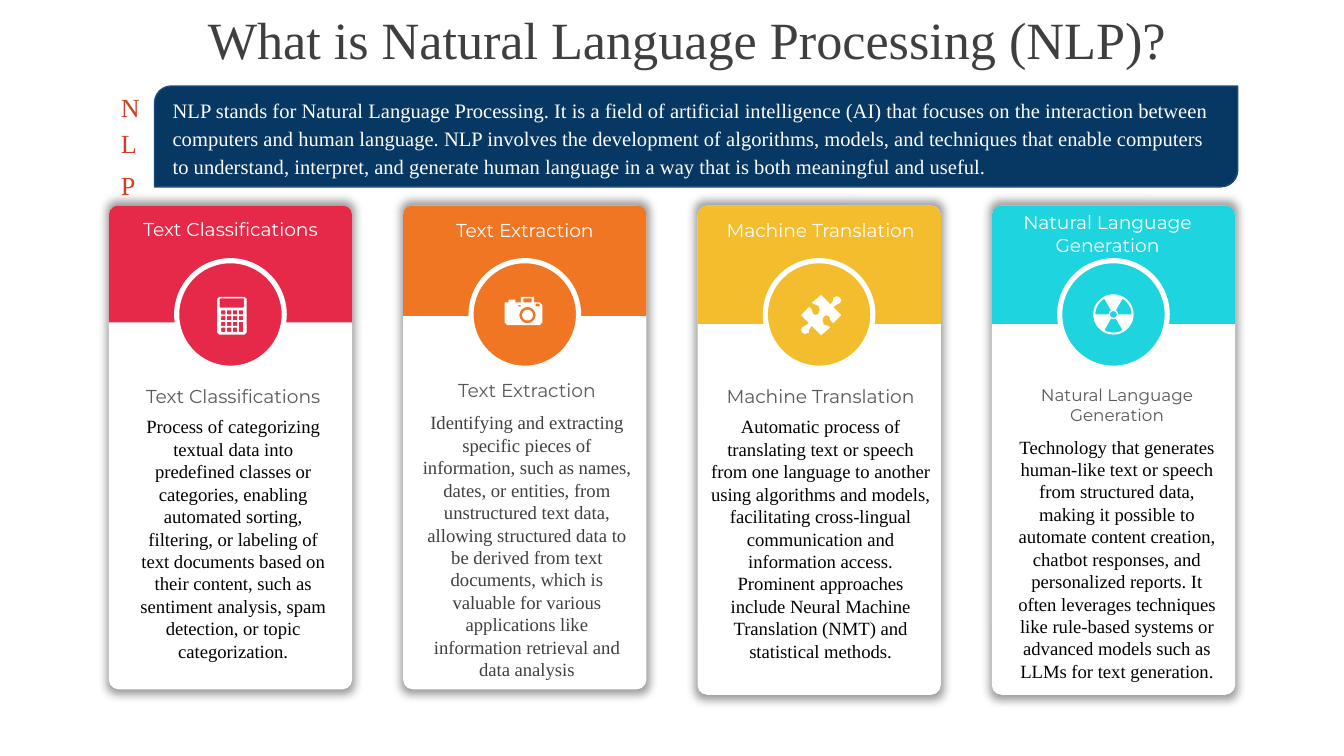
from dataclasses import dataclass
from math import cos, radians, sin

from lxml.etree import SubElement
from pptx import Presentation
from pptx.dml.color import RGBColor
from pptx.enum.shapes import MSO_SHAPE
from pptx.enum.text import MSO_ANCHOR, PP_ALIGN
from pptx.oxml import parse_xml
from pptx.oxml.ns import nsdecls, qn
from pptx.util import Inches, Pt


@dataclass(frozen=True)
class Theme:
    serif: str = "Times New Roman"
    sans: str = "Montserrat"
    white: str = "FFFFFF"
    black: str = "000000"
    dark: str = "3F3F3F"
    grey: str = "595959"
    navy: str = "073763"
    navy_line: str = "1F497D"
    letter: str = "CC4125"
    letter_line: str = "5B0F00"
    title_size: float = 28
    letter_size: float = 14
    banner_size: float = 11
    text_size: float = 10
    small_size: float = 9


theme = Theme()
presentation = Presentation()
presentation.slide_width = Inches(10)
presentation.slide_height = presentation.slide_width * 9 // 16
slide = presentation.slides.add_slide(presentation.slide_layouts[6])


def write_text(shape, text, size, color, font=theme.serif, margins=(0.07, 0.04, 0.07, 0.04),
               align=PP_ALIGN.CENTER, anchor=MSO_ANCHOR.TOP, spacing=1.0, wrap=True):
    frame = shape.text_frame
    frame.word_wrap = wrap
    frame.vertical_anchor = anchor
    (frame.margin_left, frame.margin_top,
     frame.margin_right, frame.margin_bottom) = map(Inches, margins)
    paragraph = frame.paragraphs[0]
    paragraph.alignment = align
    paragraph.line_spacing = spacing
    run = paragraph.add_run()
    run.text = text
    run.font.size = Pt(size)
    run.font.name = font
    run.font.color.rgb = RGBColor.from_string(color)
    return run


def draw_icon(center_x, center_y, polygons=(), boxes=(), discs=()):
    """Draw one white outline; inner contours are holes. Units: 0.01 inch from the centre."""
    contours = list(polygons)
    for x1, y1, x2, y2 in boxes:
        cut = 0.07 * min(x2 - x1, y2 - y1)
        contours.append([(x1 + cut, y1), (x2 - cut, y1), (x2, y1 + cut), (x2, y2 - cut),
                         (x2 - cut, y2), (x1 + cut, y2), (x1, y2 - cut), (x1, y1 + cut)])
    for x, y, radius in discs:
        contours.append([(x + radius * cos(radians(angle)), y + radius * sin(radians(angle)))
                         for angle in range(0, 360, 10)])
    contours = [[(Inches(center_x + x / 100), Inches(center_y + y / 100)) for x, y in contour]
                for contour in contours]
    builder = slide.shapes.build_freeform(*contours[0][0])
    for contour in contours:
        builder.move_to(*contour[0])
        builder.add_line_segments(contour[1:], close=True)
    icon = builder.convert_to_shape()
    icon.shadow.inherit = False
    icon.fill.solid()
    icon.fill.fore_color.rgb = RGBColor.from_string(theme.white)
    icon.line.fill.background()


# Grid of four cards
first_left, pitch, card_width, card_top = 0.81, 2.19, 1.81, 1.53
badge_top, badge_size = 1.94, 0.8
heading_margins = (0.09, 0.04, 0.09, 0.04)

# Title, set a little right of centre
title = slide.shapes.add_textbox(Inches(0.25), Inches(0.14), Inches(9.49), Inches(0.35))
write_text(title, "What is Natural Language Processing (NLP)?", theme.title_size, theme.dark,
           margins=(0.3, 0.04, 0.07, 0.04), anchor=MSO_ANCHOR.MIDDLE, spacing=0.9)

# Icons: (polygons, boxes, discs)
keys = [(-7 + 4.4 * column, -3 + 4.3 * row, -3.8 + 4.4 * column, 4.3 * row)
        for row in range(4) for column in range(4) if column < 3 or row < 2]
tall_key = (6.2, 5.6, 9.4, 12.9)
calculator = ([], [(-10, -13, 12, 15), (-8, -12, 10, -5), tall_key] + keys, [])

camera_body = [(-15, -9), (-12, -9), (-12, -11), (-7, -11), (-7, -9), (-3, -9), (-3, -13),
               (7, -13), (7, -9), (11, -9), (13, -7), (13, 6), (11, 8), (-13, 8), (-15, 6)]
camera = ([camera_body], [(-1, -12, 5, -9), (-5, -7, -3, -6), (8, -8, 11, -6)],
          [(2, 0.5, 6), (2, 0.5, 4)])

half_puzzle = [(7, -8), (9, -11), (9, -13), (12, -14), (14, -13), (15, -11), (14, -9),
               (12, -8), (9, -6), (15, 0), (9, 6), (7, 4), (6, 1), (4, 0), (2, 1),
               (1, 4), (2, 7), (5, 8), (7, 9), (0, 15)]
puzzle = ([[(side * x + 1.5, side * y + 0.5) for side in (1, -1) for x, y in half_puzzle]], [], [])

blades = [[(radius * cos(radians(angle)), radius * sin(radians(angle)))
           for radius, angles in ((13.5, range(start, start + 61, 10)),
                                  (3.5, range(start + 60, start - 1, -20)))
           for angle in angles] for start in (60, 180, 300)]
radiation = (blades, [], [(0, 0, 15), (0, 0, 2.5)])

# Cards: heading, colour, card height, header height, (header text left shift, top, width),
# (text left shift, width), subheading top and size, text top, text colour, icon, text
cards = [
    ("Text Classifications", "E62949", 3.6, 0.87, (0, 1.58, 1.81), (0.11, 1.63),
     2.82, theme.text_size, 3.05, theme.black, calculator,
     "Process of categorizing textual data into predefined classes or categories, enabling "
     "automated sorting, filtering, or labeling of text documents based on their content, such "
     "as sentiment analysis, spam detection, or topic categorization."),
    ("Text Extraction", "F07624", 3.6, 0.82, (0, 1.59, 1.81), (0.06, 1.72),
     2.78, theme.text_size, 3.02, theme.dark, camera,
     "Identifying and extracting specific pieces of information, such as names, dates, or "
     "entities, from unstructured text data, allowing structured data to be derived from text "
     "documents, which is valuable for various applications like information retrieval and "
     "data analysis"),
    ("Machine Translation", "F4BD2D", 3.64, 0.88, (0.01, 1.59, 1.81), (0.01, 1.81),
     2.82, theme.text_size, 3.05, theme.black, puzzle,
     "Automatic process of translating text or speech from one language to another using "
     "algorithms and models, facilitating cross-lingual communication and information access. "
     "Prominent approaches include Neural Machine Translation (NMT) and statistical methods."),
    ("Natural Language Generation", "1ED4DE", 3.64, 0.88, (-0.08, 1.53, 1.88), (0.07, 1.72),
     2.82, theme.small_size, 3.2, theme.black, radiation,
     "Technology that generates human-like text or speech from structured data, making it "
     "possible to automate content creation, chatbot responses, and personalized reports. It "
     "often leverages techniques like rule-based systems or advanced models such as LLMs for "
     "text generation."),
]
for index, (heading, color, card_height, header_height, header_box, text_box, subheading_top,
            subheading_size, text_top, text_color, icon, text) in enumerate(cards):
    left = first_left + pitch * index
    badge_left = left + (card_width - badge_size) / 2

    # Card, coloured header and round badge
    parts = []
    for kind, x, y, width, height, fill in (
            (MSO_SHAPE.ROUNDED_RECTANGLE, left, card_top, card_width, card_height, theme.white),
            (MSO_SHAPE.ROUND_2_SAME_RECTANGLE, left, card_top, card_width, header_height, color),
            (MSO_SHAPE.OVAL, badge_left, badge_top, badge_size, badge_size, color)):
        part = slide.shapes.add_shape(kind, Inches(x), Inches(y), Inches(width), Inches(height))
        part.shadow.inherit = False
        part.fill.solid()
        part.fill.fore_color.rgb = RGBColor.from_string(fill)
        part.line.fill.background()
        parts.append(part)
    card, header, badge = parts
    card.adjustments[0] = 0.04
    header.adjustments[0] = 0.08
    badge.line.color.rgb = RGBColor.from_string(theme.white)
    badge.line.width = Pt(2.75)

    # Soft shadow on every side of the card
    effects = card._element.spPr.find(qn("a:effectLst"))
    shadow = SubElement(effects, qn("a:outerShdw"), blurRad=str(Pt(5)), dist="0",
                        sx="102000", sy="102000", algn="ctr", rotWithShape="0")
    shadow_color = SubElement(shadow, qn("a:srgbClr"), val=theme.black)
    SubElement(shadow_color, qn("a:alpha"), val="40000")

    # Header text, subheading and description
    shift, header_top, header_width = header_box
    text_shift, text_width = text_box
    for x, y, width, height, words, style in (
            (left + shift, header_top, header_width, 0.24, heading,
             dict(size=theme.text_size, color=theme.white, font=theme.sans,
                  margins=heading_margins)),
            (left + text_shift, subheading_top, text_width, text_top - subheading_top, heading,
             dict(size=subheading_size, color=theme.grey, font=theme.sans,
                  margins=heading_margins)),
            (left + text_shift, text_top, text_width, 1.93, text,
             dict(size=theme.text_size, color=text_color))):
        box = slide.shapes.add_textbox(Inches(x), Inches(y), Inches(width), Inches(height))
        write_text(box, words, **style)
    draw_icon(badge_left + badge_size / 2, badge_top + badge_size / 2, *icon)

# Definition banner
banner = slide.shapes.add_shape(MSO_SHAPE.ROUND_2_DIAG_RECTANGLE,
                                Inches(1.15), Inches(0.64), Inches(8.06), Inches(0.75))
banner.shadow.inherit = False
banner.fill.solid()
banner.fill.fore_color.rgb = RGBColor.from_string(theme.navy)
banner.line.color.rgb = RGBColor.from_string(theme.navy_line)
banner.line.width = Pt(0.75)
write_text(banner, "NLP stands for Natural Language Processing. It is a field of artificial "
           "intelligence (AI) that focuses on the interaction between computers and human "
           "language. NLP involves the development of algorithms, models, and techniques that "
           "enable computers to understand, interpret, and generate human language in a way that "
           "is both meaningful and useful.", theme.banner_size, theme.white,
           margins=(0.1, 0.1, 0.1, 0.1), align=PP_ALIGN.LEFT, anchor=MSO_ANCHOR.MIDDLE,
           spacing=1.15)

# Outlined letters down the left side
for letter, top in (("N", 0.64), ("L", 0.91), ("P", 1.22)):
    box = slide.shapes.add_textbox(Inches(0.85), Inches(top), Inches(0.15), Inches(0.15))
    run = write_text(box, letter, theme.letter_size, theme.letter,
                     margins=(0.05, 0.04, 0, 0), wrap=False)
    run.font._element.insert(0, parse_xml(
        f'<a:ln {nsdecls("a")} w="{Pt(0.75)}"><a:solidFill>'
        f'<a:srgbClr val="{theme.letter_line}"/></a:solidFill></a:ln>'))

presentation.save("out.pptx")
